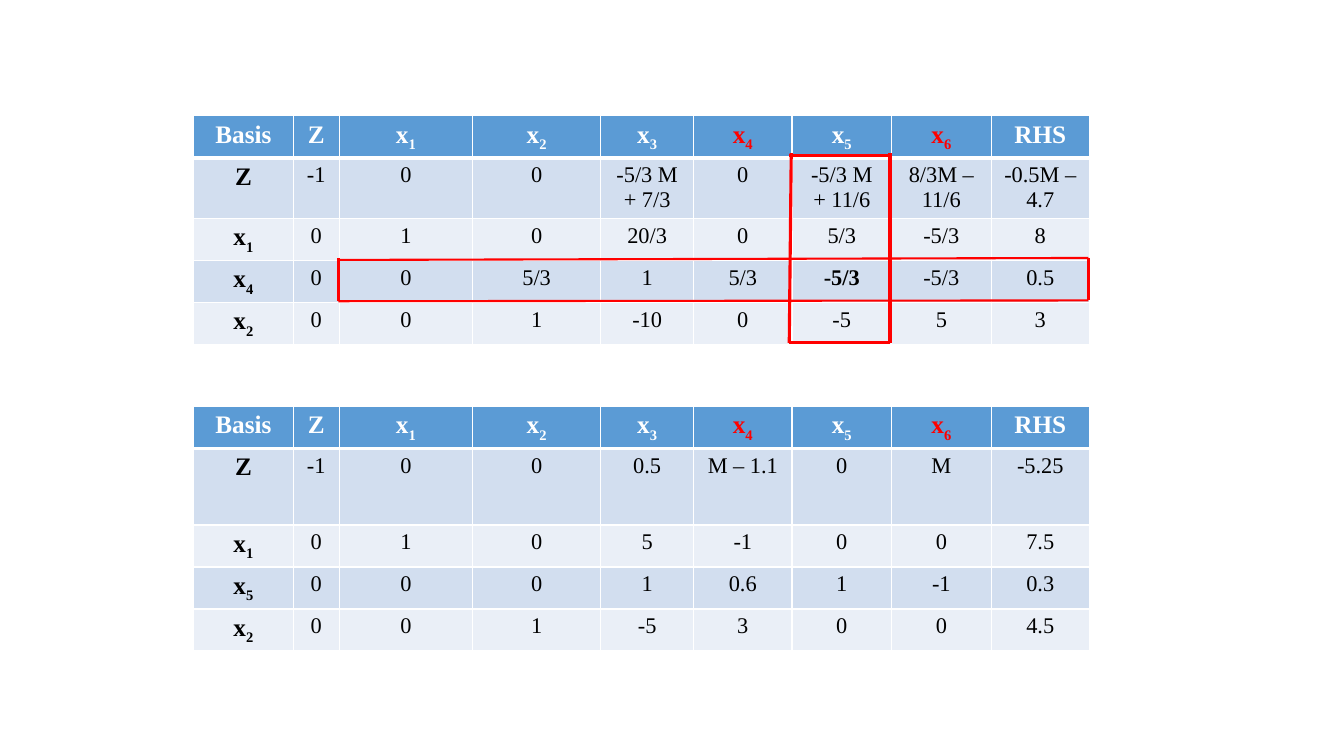
from lxml import etree
from pptx import Presentation
from pptx.dml.color import RGBColor
from pptx.enum.shapes import MSO_CONNECTOR
from pptx.enum.text import PP_ALIGN
from pptx.oxml.ns import qn
from pptx.util import Cm, Pt

CENTER = PP_ALIGN.CENTER
STRAIGHT = MSO_CONNECTOR.STRAIGHT
COLORS = {
    "header": "5B9BD5",
    "odd": "D2DEEF",
    "even": "EAEFF7",
    "white": "FFFFFF",
    "black": "000000",
    "red": "FF0000",
}
FONT = "Times New Roman"
HEADINGS = ["Basis", "Z", "x1", "x2", "x3", "x4", "x5", "x6", "RHS"]
ARTIFICIAL = ["x4", "x6"]
PIVOT = (3, 6)
COLUMN_WIDTHS = [2.51, 1.16, 3.36, 3.23, 2.34, 2.48, 2.51, 2.51, 2.48]
ROW_HEIGHT = 1.04

tableaus = [
    (2.92, 1.52, PIVOT, [
        ["Z", "-1", "0", "0", "-5/3 M + 7/3", "0", "-5/3 M + 11/6", "8/3M – 11/6", "-0.5M – 4.7"],
        ["x1", "0", "1", "0", "20/3", "0", "5/3", "-5/3", "8"],
        ["x4", "0", "0", "5/3", "1", "5/3", "-5/3", "-5/3", "0.5"],
        ["x2", "0", "0", "1", "-10", "0", "-5", "5", "3"],
    ]),
    (10.24, 1.93, None, [
        ["Z", "-1", "0", "0", "0.5", "M – 1.1", "0", "M", "-5.25"],
        ["x1", "0", "1", "0", "5", "-1", "0", "0", "7.5"],
        ["x5", "0", "0", "0", "1", "0.6", "1", "-1", "0.3"],
        ["x2", "0", "0", "1", "-5", "3", "0", "0", "4.5"],
    ]),
]

pivot_frame = [
    (8.53, 7.59, 27.43, 7.57, 1.5),
    (8.53, 6.55, 27.43, 6.5, 1.5),
    (27.43, 6.5, 27.43, 7.57, 2.25),
    (8.53, 6.5, 8.53, 7.59, 2.25),
    (19.94, 3.86, 19.89, 8.64, 2.25),
    (22.43, 3.86, 22.43, 8.64, 2.25),
    (19.89, 8.64, 22.43, 8.64, 2.25),
    (19.89, 3.91, 22.43, 3.91, 2.25),
]


def write_cell(cell, text, size, bold, color, fill):
    cell.fill.solid()
    cell.fill.fore_color.rgb = RGBColor.from_string(COLORS[fill])
    paragraph = cell.text_frame.paragraphs[0]
    paragraph.alignment = CENTER
    parts = [text[0], text[1:]] if text.startswith("x") else [text]
    for position, part in enumerate(parts):
        run = paragraph.add_run()
        run.text = part
        if position:
            run._r.get_or_add_rPr().set("baseline", "-25000")
    paragraph.font.name = FONT
    paragraph.font.size = Pt(size)
    paragraph.font.bold = bold
    paragraph.font.color.rgb = RGBColor.from_string(COLORS[color])


def add_borders(cell, bottom_width):
    properties = cell._tc.get_or_add_tcPr()
    sides = [("a:lnL", 1), ("a:lnR", 1), ("a:lnT", 1), ("a:lnB", bottom_width)]
    for position, (side, width) in enumerate(sides):
        border = etree.Element(qn(side), w=str(Pt(width)))
        fill = etree.SubElement(border, qn("a:solidFill"))
        etree.SubElement(fill, qn("a:srgbClr"), val=COLORS["white"])
        properties.insert(position, border)


prs = Presentation()
prs.slide_width = Cm(33.87)
prs.slide_height = Cm(19.05)
slide = prs.slides.add_slide(prs.slide_layouts[6])

for top, z_height, pivot, body in tableaus:
    heights = [ROW_HEIGHT, z_height] + [ROW_HEIGHT] * 3
    grid = slide.shapes.add_table(
        len(heights), len(HEADINGS), Cm(4.88), Cm(top),
        Cm(sum(COLUMN_WIDTHS)), Cm(sum(heights)),
    ).table
    for column, width in zip(grid.columns, COLUMN_WIDTHS):
        column.width = Cm(width)
    for row, height in zip(grid.rows, heights):
        row.height = Cm(height)
    for r, values in enumerate([HEADINGS] + body):
        for c, value in enumerate(values):
            cell = grid.cell(r, c)
            if r == 0:
                color = "red" if value in ARTIFICIAL else "white"
                write_cell(cell, value, 18, True, color, "header")
            else:
                size = 18 if c == 0 else 16
                bold = c == 0 or (r, c) == pivot
                write_cell(cell, value, size, bold, "black", "odd" if r % 2 else "even")
            add_borders(cell, 3 if r == 0 else 1)

for x1, y1, x2, y2, width in pivot_frame:
    edge = slide.shapes.add_connector(STRAIGHT, Cm(x1), Cm(y1), Cm(x2), Cm(y2))
    edge.line.color.rgb = RGBColor.from_string(COLORS["red"])
    edge.line.width = Pt(width)
    etree.SubElement(edge._element.spPr, qn("a:effectLst"))

prs.save("out.pptx")
